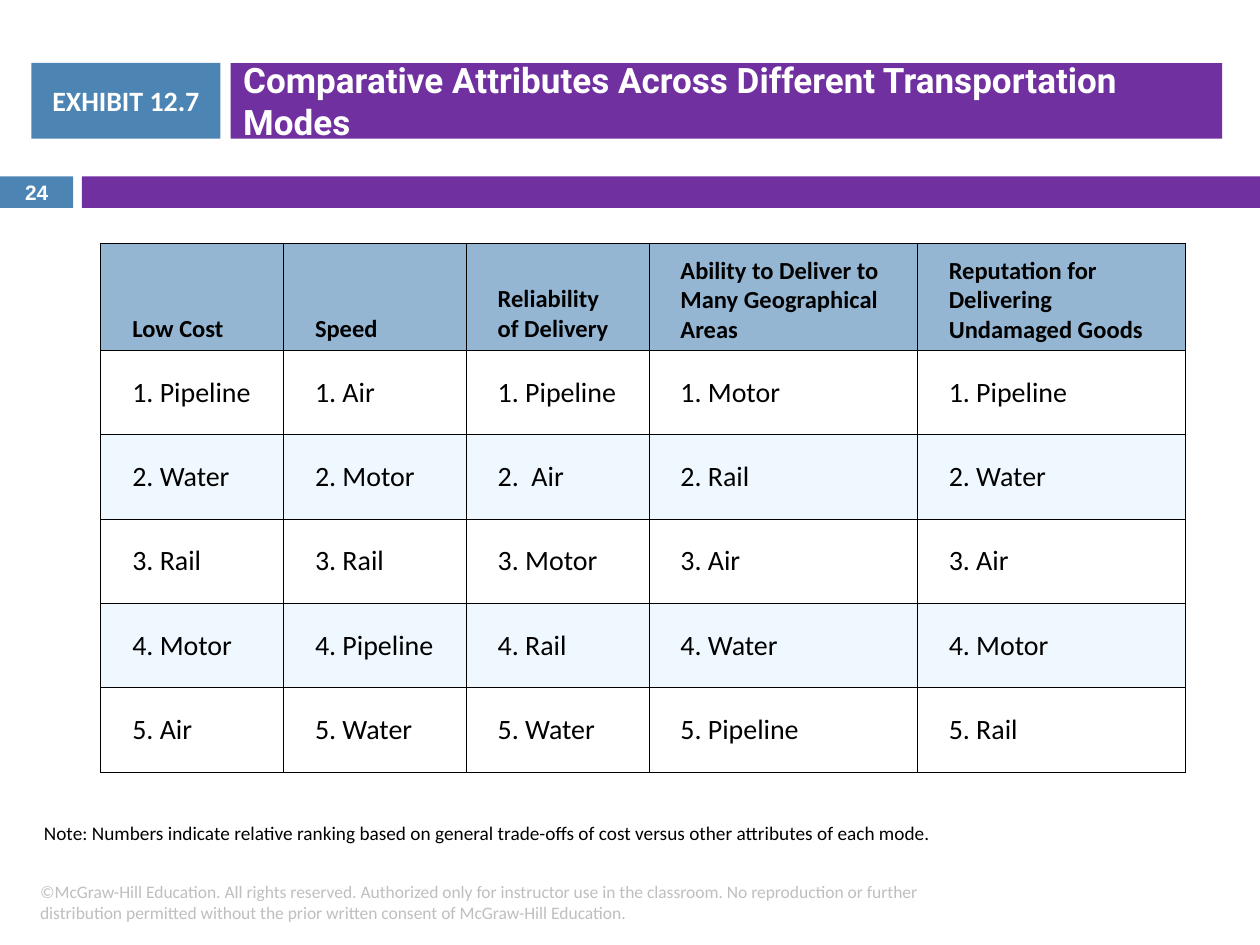
from lxml import etree
from pptx import Presentation
from pptx.dml.color import RGBColor
from pptx.enum.shapes import MSO_SHAPE
from pptx.enum.text import MSO_ANCHOR, MSO_AUTO_SIZE, PP_ALIGN
from pptx.oxml.ns import qn
from pptx.util import Inches, Pt

RECTANGLE = MSO_SHAPE.RECTANGLE
TOP, MIDDLE, BOTTOM = MSO_ANCHOR.TOP, MSO_ANCHOR.MIDDLE, MSO_ANCHOR.BOTTOM
LEFT, CENTER = PP_ALIGN.LEFT, PP_ALIGN.CENTER
NO_AUTOFIT = MSO_AUTO_SIZE.NONE
TITLE_ONLY = 5

HEADERS = [
    "Low Cost",
    "Speed",
    "Reliability\nof Delivery",
    "Ability to Deliver to\nMany Geographical\nAreas",
    "Reputation for Delivering\nUndamaged Goods",
]
RANKINGS = [
    ["1. Pipeline", "1. Air", "1. Pipeline", "1. Motor", "1. Pipeline"],
    ["2. Water", "2. Motor", "2.  Air", "2. Rail", "2. Water"],
    ["3. Rail", "3. Rail", "3. Motor", "3. Air", "3. Air"],
    ["4. Motor", "4. Pipeline", "4. Rail", "4. Water", "4. Motor"],
    ["5. Air", "5. Water", "5. Water", "5. Pipeline", "5. Rail"],
]
NOTE = ("Note: Numbers indicate relative ranking based on general trade-offs "
        "of cost versus other attributes of each mode.")
COPYRIGHT = ("©McGraw-Hill Education. All rights reserved. Authorized only for "
             "instructor use in the classroom. No reproduction or further "
             "distribution permitted without the prior written consent of "
             "McGraw-Hill Education.")


def paint(fill, color):
    fill.solid()
    fill.fore_color.rgb = RGBColor.from_string(color)


def write_text(frame, text, size=16, color="000000", font="Calibri",
               bold=False, align=LEFT):
    frame.word_wrap = True
    frame.text = text
    for paragraph in frame.paragraphs:
        paragraph.alignment = align
        paragraph.font.size = Pt(size)
        paragraph.font.name = font
        paragraph.font.bold = bold
        paragraph.font.color.rgb = RGBColor.from_string(color)


def add_borders(cell, color="000000", width=0.5):
    properties = cell._tc.get_or_add_tcPr()
    for index, side in enumerate(("lnL", "lnR", "lnT", "lnB")):
        line = etree.Element(qn(f"a:{side}"), w=str(Pt(width)))
        solid = etree.SubElement(line, qn("a:solidFill"))
        etree.SubElement(solid, qn("a:srgbClr"), val=color)
        properties.insert(index, line)


class ExhibitSlide:
    accent = "4C85B4"
    purple = "7030A0"
    white = "FFFFFF"
    header_fill = "94B6D2"
    row_fills = ("FFFFFF", "EFF8FE")

    def __init__(self, presentation):
        layout = presentation.slide_layouts[TITLE_ONLY]
        self.slide = presentation.slides.add_slide(layout)

    def title(self, text, left, top, width, height):
        shape = self.slide.shapes.title
        shape.left, shape.top = Inches(left), Inches(top)
        shape.width, shape.height = Inches(width), Inches(height)
        paint(shape.fill, self.purple)
        frame = shape.text_frame
        write_text(frame, text, size=20, color=self.white, font="Roboto", bold=True)
        frame.auto_size = NO_AUTOFIT
        frame.vertical_anchor = MIDDLE

    def bar(self, left, top, width, height, color, text=None):
        shape = self.slide.shapes.add_shape(
            RECTANGLE, Inches(left), Inches(top), Inches(width), Inches(height))
        shape.shadow.inherit = False
        paint(shape.fill, color)
        shape.line.fill.background()
        if text:
            write_text(shape.text_frame, text, color=self.white, bold=True,
                       align=CENTER)
            shape.text_frame.vertical_anchor = MIDDLE

    def text(self, text, left, top, width, height, anchor=MIDDLE, **style):
        box = self.slide.shapes.add_textbox(
            Inches(left), Inches(top), Inches(width), Inches(height))
        write_text(box.text_frame, text, **style)
        box.text_frame.vertical_anchor = anchor

    def cell(self, cell, text, fill, anchor, margins, **style):
        write_text(cell.text_frame, text, **style)
        cell.vertical_anchor = anchor
        (cell.margin_left, cell.margin_top,
         cell.margin_right, cell.margin_bottom) = map(Inches, margins)
        paint(cell.fill, fill)
        add_borders(cell)

    def table(self, left, top, widths, header_height, row_height):
        rows = len(RANKINGS) + 1
        table = self.slide.shapes.add_table(
            rows, len(widths), Inches(left), Inches(top), Inches(sum(widths)),
            Inches(header_height + row_height * len(RANKINGS))).table
        for column, width in zip(table.columns, widths):
            column.width = Inches(width)
        for row in table.rows:
            row.height = Inches(row_height)
        table.rows[0].height = Inches(header_height)
        for column, text in enumerate(HEADERS):
            self.cell(table.cell(0, column), text, self.header_fill, BOTTOM,
                      (0.25, 0.1, 0.05, 0.05), size=14, bold=True)
        for row, ranking in enumerate(RANKINGS):
            for column, text in enumerate(ranking):
                self.cell(table.cell(row + 1, column), text,
                          self.row_fills[row % 2], MIDDLE, (0.25, 0, 0.08, 0))


def main():
    presentation = Presentation()
    presentation.slide_width = Inches(10)
    presentation.slide_height = Inches(7.5)
    exhibit = ExhibitSlide(presentation)
    exhibit.bar(0, 1.4, 0.58, 0.25, exhibit.accent)
    exhibit.bar(0.65, 1.4, 9.35, 0.25, exhibit.purple)
    exhibit.title("Comparative Attributes Across Different Transportation Modes",
                  1.83, 0.5, 7.87, 0.6)
    exhibit.bar(0.25, 0.5, 1.5, 0.6, exhibit.accent, "EXHIBIT 12.7")
    exhibit.text("24", 0, 1.39, 0.58, 0.27, size=11.9, color=exhibit.white,
                 font="Arial", bold=True, align=CENTER)
    exhibit.table(0.8, 1.93, [1.45, 1.45, 1.45, 2.13, 2.13], 0.72, 0.67)
    exhibit.text(NOTE, 0.25, 6.47, 9.45, 0.29, anchor=TOP, size=11)
    exhibit.text(COPYRIGHT, 0.22, 6.9, 7.64, 0.52, size=10, color="BFBFBF")
    presentation.save("out.pptx")


if __name__ == "__main__":
    main()
